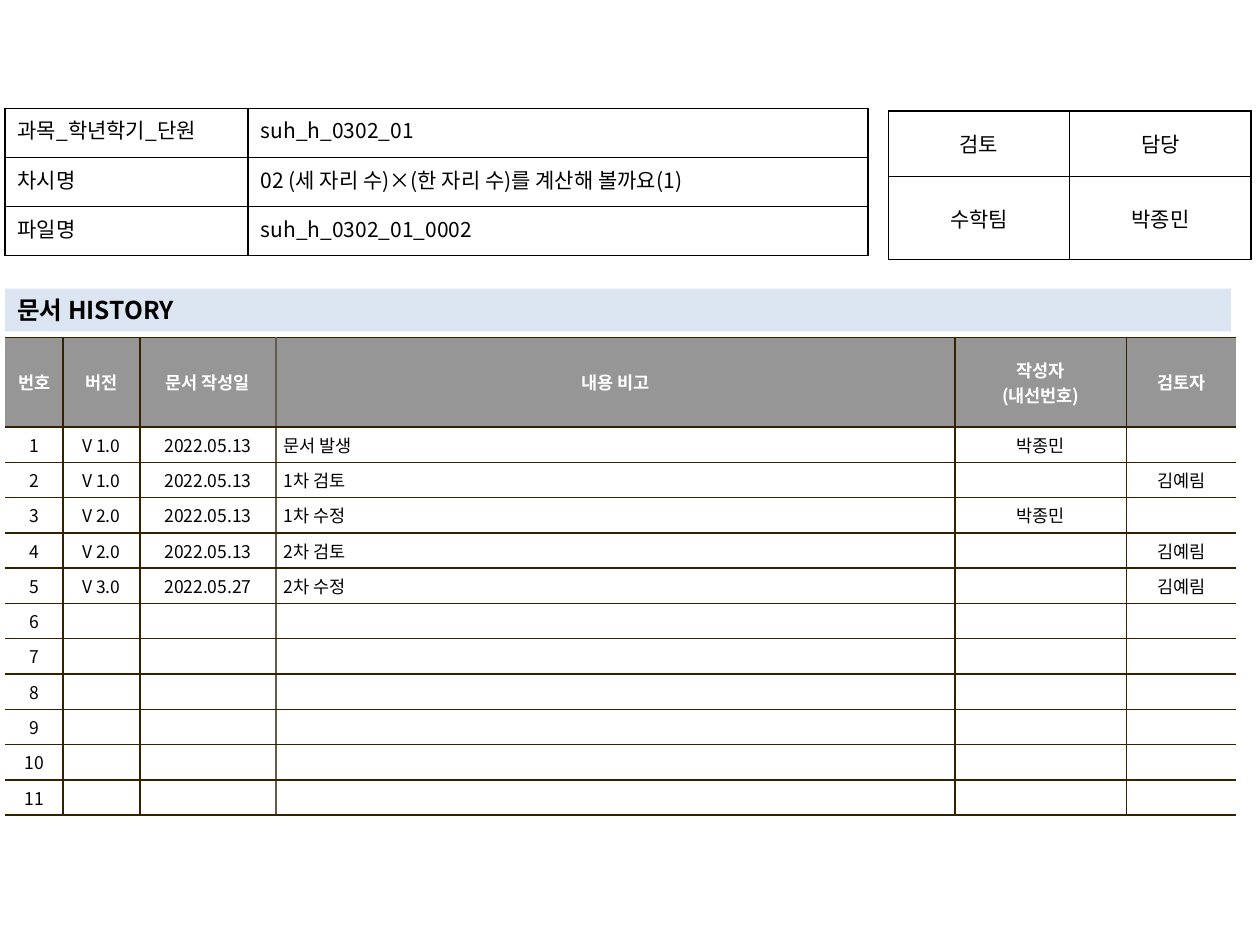
from dataclasses import dataclass

from lxml import etree
from pptx import Presentation
from pptx.dml.color import RGBColor
from pptx.enum.shapes import MSO_SHAPE
from pptx.enum.text import MSO_ANCHOR, PP_ALIGN
from pptx.oxml.ns import qn
from pptx.util import Inches, Pt

LEFT, CENTER, JUSTIFY = PP_ALIGN.LEFT, PP_ALIGN.CENTER, PP_ALIGN.JUSTIFY
TOP, MIDDLE = MSO_ANCHOR.TOP, MSO_ANCHOR.MIDDLE
RECTANGLE = MSO_SHAPE.RECTANGLE

FONT = "Noto Sans CJK KR"
BLACK, WHITE = "000000", "FFFFFF"
HEADING_FILL, HEADER_FILL = "DCE6F2", "969696"
BROWN, TAUPE = "362000", "645B4C"

HISTORY_HEADER = ("번호", "버전", "문서 작성일", "내용 비고", "작성자\n(내선번호)", "검토자")
HISTORY_ENTRIES = (
    ("V 1.0", "2022.05.13", "문서 발생", "박종민", ""),
    ("V 1.0", "2022.05.13", "1차 검토", "", "김예림"),
    ("V 2.0", "2022.05.13", "1차 수정", "박종민", ""),
    ("V 2.0", "2022.05.13", "2차 검토", "", "김예림"),
    ("V 3.0", "2022.05.27", "2차 수정", "", "김예림"),
)
HISTORY_LENGTH = 11
EMPTY_ENTRY = ("",) * 5


@dataclass(frozen=True)
class Grid:
    """Place, contents and look of one table."""

    left: float
    top: float
    widths: tuple
    heights: tuple
    rows: tuple
    aligns: tuple
    edges: tuple
    rule: str
    size: int
    anchor: MSO_ANCHOR = MIDDLE
    margins: tuple = (0.1, 0.05)
    header_fill: str = ""
    body_fill: str = ""


def rgb(value: str) -> RGBColor:
    """Turn a hex string into a colour."""
    return RGBColor.from_string(value)


def write(frame, text: str, *, size: int, color: str = BLACK, bold: bool = False, align=LEFT) -> None:
    """Write formatted text, one paragraph a line."""
    for index, line in enumerate(text.split("\n")):
        paragraph = frame.add_paragraph() if index else frame.paragraphs[0]
        paragraph.alignment = align
        if not line:
            etree.SubElement(paragraph._p, qn("a:endParaRPr"), sz=str(size * 100))
            continue
        run = paragraph.add_run()
        run.text = line
        run.font.size = Pt(size)
        run.font.bold = bold
        run.font.name = FONT
        run.font.color.rgb = rgb(color)
        etree.SubElement(run.font._element, qn("a:ea"), typeface=FONT)


def set_borders(cell, colors: dict) -> None:
    """Rule the sides of a cell, leaving sides without a colour open."""
    properties = cell._tc.get_or_add_tcPr()
    for index, (side, color) in enumerate(colors.items()):
        line = etree.Element(qn(f"a:ln{side}"), w=str(Pt(1)))
        if color:
            fill = etree.SubElement(line, qn("a:solidFill"))
            etree.SubElement(fill, qn("a:srgbClr"), val=color)
        else:
            etree.SubElement(line, qn("a:noFill"))
        properties.insert(index, line)


def fill_cell(cell, color: str) -> None:
    """Fill a cell, or clear its fill when there is no colour."""
    if color:
        cell.fill.solid()
        cell.fill.fore_color.rgb = rgb(color)
    else:
        cell.fill.background()


def draw_grid(slide, grid: Grid) -> None:
    """Draw one table."""
    table = slide.shapes.add_table(
        len(grid.heights), len(grid.widths), Inches(grid.left), Inches(grid.top),
        Inches(sum(grid.widths)), Inches(sum(grid.heights)),
    ).table
    table.first_row = table.horz_banding = False
    for column, width in zip(table.columns, grid.widths):
        column.width = Inches(width)
    for row, height in zip(table.rows, grid.heights):
        row.height = Inches(height)
    for r, texts in enumerate(grid.rows):
        is_header = r == 0 and bool(grid.header_fill)
        for c, text in enumerate(texts):
            cell = table.cell(r, c)
            cell.vertical_anchor = grid.anchor
            cell.margin_left = cell.margin_right = Inches(grid.margins[0])
            cell.margin_top = cell.margin_bottom = Inches(grid.margins[1])
            fill_cell(cell, grid.header_fill if is_header else grid.body_fill)
            set_borders(cell, {"L": grid.edges[c], "R": grid.edges[c + 1], "T": grid.rule, "B": grid.rule})
            write(
                cell.text_frame, text, size=grid.size, bold=is_header,
                color=WHITE if is_header else BLACK,
                align=CENTER if is_header else grid.aligns[c],
            )


def draw_heading(slide, text: str) -> None:
    """Draw the band that heads the history table."""
    band = slide.shapes.add_shape(RECTANGLE, Inches(0.04), Inches(2.29), Inches(9.73), Inches(0.34))
    band.shadow.inherit = False
    band.fill.solid()
    band.fill.fore_color.rgb = rgb(HEADING_FILL)
    band.line.fill.background()
    band.text_frame.word_wrap = True
    band.text_frame.vertical_anchor = MIDDLE
    write(band.text_frame, text, size=14, bold=True)


def main() -> None:
    """Build the document history slide."""
    deck = Presentation()
    deck.slide_width, deck.slide_height = Inches(10), Inches(7.5)
    slide = deck.slides.add_slide(deck.slide_layouts[6])

    entries = HISTORY_ENTRIES + (EMPTY_ENTRY,) * (HISTORY_LENGTH - len(HISTORY_ENTRIES))
    numbered = tuple((str(number), *entry) for number, entry in enumerate(entries, 1))
    history = Grid(
        0.04, 2.68, (0.46, 0.61, 1.08, 5.39, 1.36, 0.87), (0.71,) + (0.28,) * HISTORY_LENGTH,
        (HISTORY_HEADER, *numbered), (CENTER, CENTER, CENTER, LEFT, CENTER, CENTER),
        ("", BROWN, BROWN, TAUPE, BROWN, BROWN, ""), BROWN, 10,
        margins=(0.06, 0.04), header_fill=HEADER_FILL, body_fill=WHITE,
    )
    approval = Grid(
        7.05, 0.88, (1.44, 1.44), (0.52, 0.66), (("검토", "담당"), ("수학팀", "박종민")),
        (CENTER, CENTER), (BLACK,) * 3, BLACK, 12,
    )
    lesson = Grid(
        0.04, 0.86, (1.93, 4.92), (0.39,) * 3,
        (
            ("과목_학년학기_단원", "suh_h_0302_01"),
            ("차시명", "02 (세 자리 수)×(한 자리 수)를 계산해 볼까요(1)"),
            ("파일명", "suh_h_0302_01_0002"),
        ),
        (JUSTIFY, LEFT), (BLACK,) * 3, BLACK, 12, anchor=TOP,
    )

    draw_grid(slide, history)
    draw_grid(slide, approval)
    draw_heading(slide, "문서 HISTORY")
    draw_grid(slide, lesson)
    deck.save("out.pptx")


if __name__ == "__main__":
    main()
